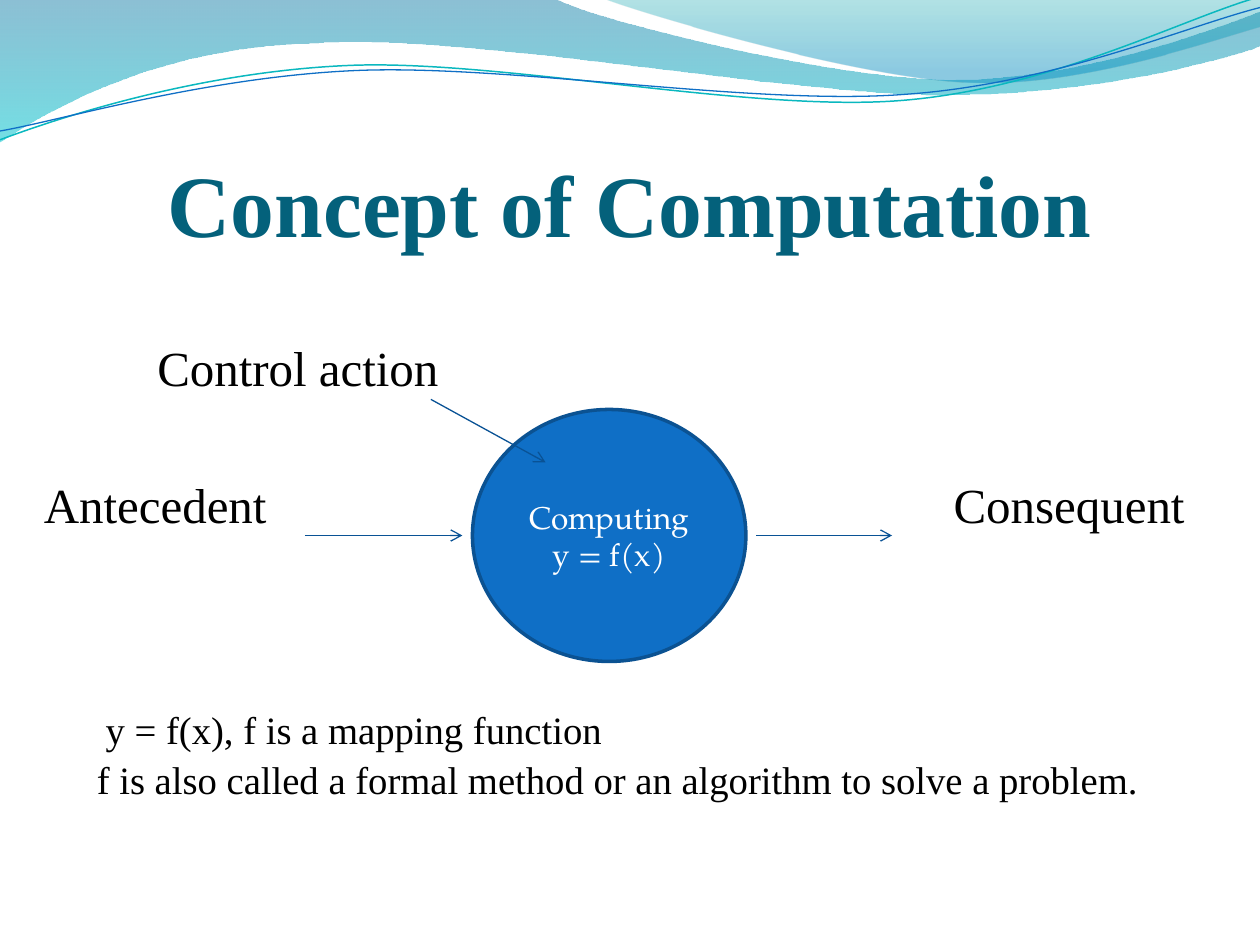
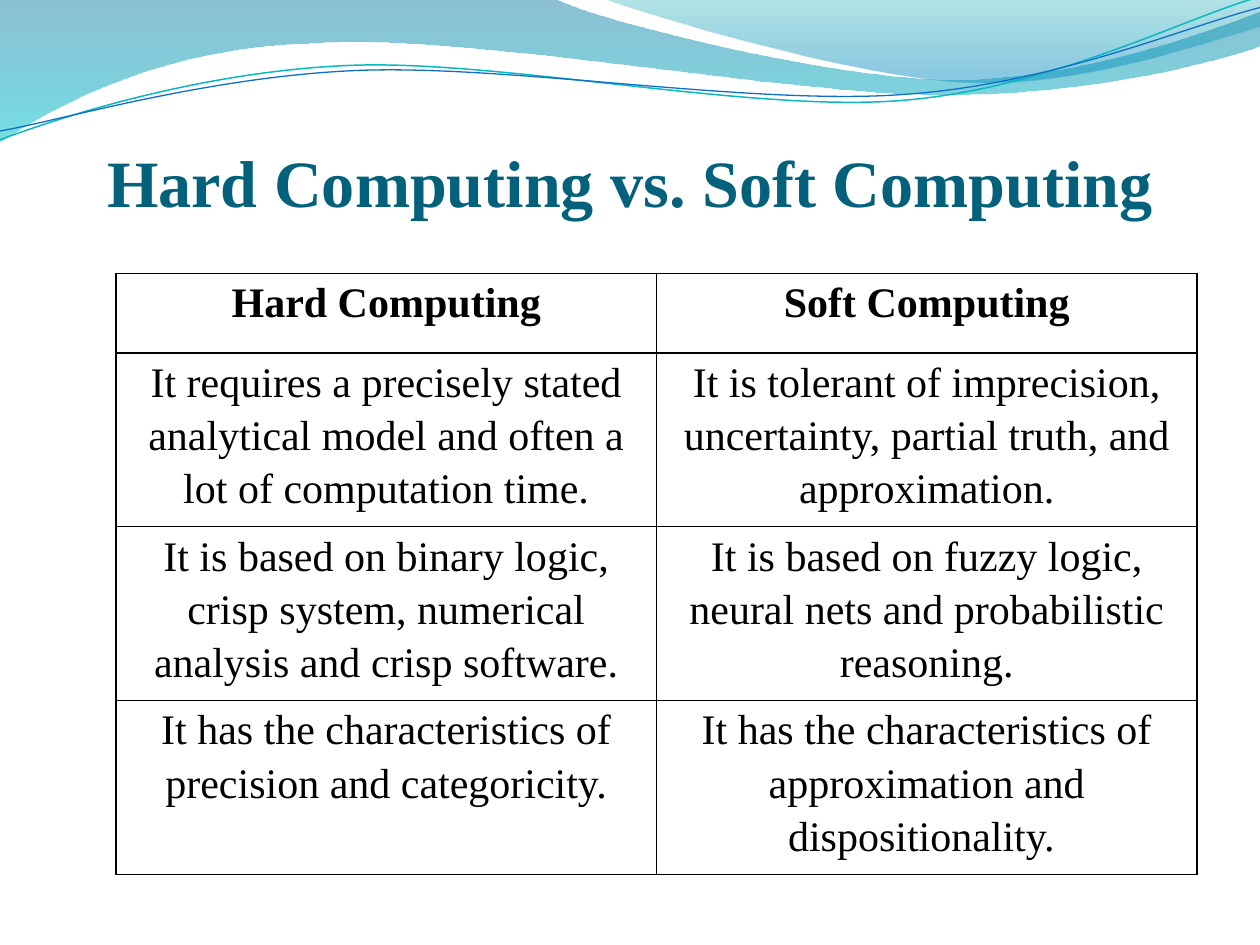
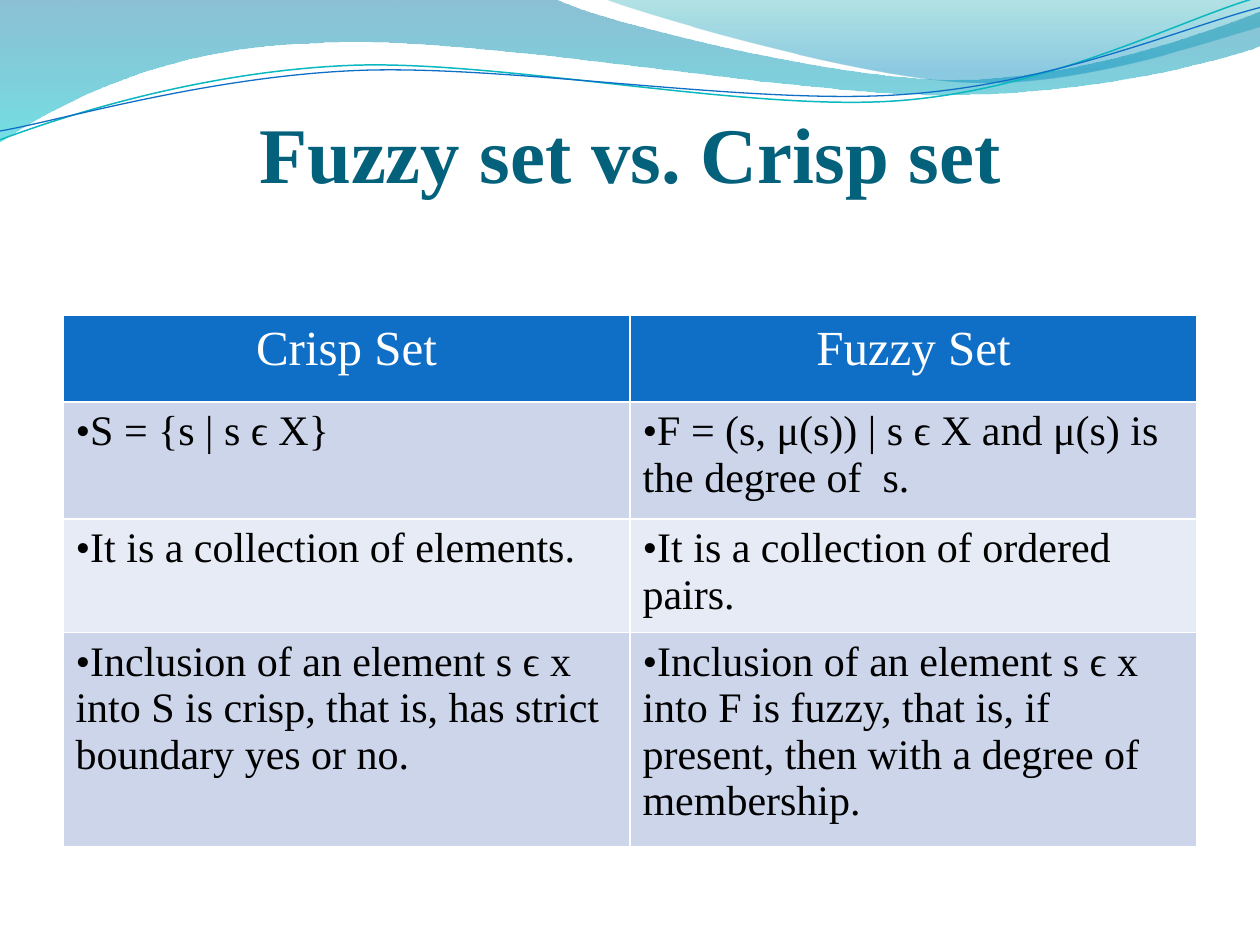
"""Build three slides on soft computing with a shared wave band and title style."""
from lxml import etree
from pptx import Presentation
from pptx import util as u
from pptx.dml.color import RGBColor
from pptx.enum import shapes, text
from pptx.oxml.ns import qn

INK = {"title": "04617B", "black": "000000", "white": "FFFFFF", "blue": "0F6FC6",
       "rim": "0B5292", "arrow": "095295", "teal": "0AB8BF",
       "odd": "CCD5EA", "even": "E7EBF5"}
INK = {name: RGBColor.from_string(code) for name, code in INK.items()}
SERIF, ROUND = "Times New Roman", "TeX Gyre Pagella"
MID, LEFT = text.PP_ALIGN.CENTER, text.PP_ALIGN.LEFT

WAVES = [
    {"start": (0, 0), "stops": [(0, "0074A1", 45), (1, "00C6CF", 55)],
     "steps": [[(4.4, -0.01)],
               [(4.76, 0.17), (6.64, 0.63), (7.58, 0.63)],
               [(8.53, 0.63), (9.58, 0.26), (10, 0.09)],
               [(10.01, 0.36)],
               [(9.83, 0.44), (8.7, 0.76), (7.46, 0.75)],
               [(6.22, 0.75), (3.82, 0.28), (2.57, 0.34)],
               [(1.29, 0.36), (0.46, 0.83), (-0.01, 1.13)]]},
    {"start": (4.79, -0.01), "stops": [(0, "00A1A9", 30), (0.8, "008BBF", 45)],
     "steps": [[(5.09, 0.11), (6.82, 0.62), (7.69, 0.65)],
               [(8.56, 0.69), (9.61, 0.32), (10, 0.21)],
               [(10, 0)]]},
    {"start": (0, 1.11), "line": ("teal", 0.85),
     "steps": [[(0.48, 0.93), (1.58, 0.57), (2.77, 0.52)],
               [(3.95, 0.47), (5.93, 0.89), (7.13, 0.8)],
               [(8.33, 0.71), (9.38, 0.15), (9.98, -0.02)]]},
    {"start": (0, 1.04), "line": ("blue", 0.75),
     "steps": [[(0.47, 0.96), (1.64, 0.61), (2.83, 0.56)],
               [(4.03, 0.51), (5.97, 0.84), (7.17, 0.75)],
               [(8.36, 0.67), (9.41, 0.21), (10, 0.06)]]},
]
TITLES = [("Concept of Computation", 1.25, 50),
          ("Hard Computing vs. Soft Computing", 0.98, 37.8),
          ("Fuzzy set vs. Crisp set", 0.81, 45)]


def put(par, words, size, ink="black", face=SERIF, bold=False, **form):
    """Write one run and set its paragraph's format."""
    run = par.add_run()
    run.text = words
    for key, val in {"size": u.Pt(size), "name": face, "bold": bold}.items():
        setattr(run.font, key, val)
    run.font.color.rgb = INK[ink]
    for key, val in form.items():
        setattr(par, key, val)


def box(slide, left, top, wide, high, **form):
    """Add a wrapping text box and return its frame."""
    area = [u.Inches(n) for n in (left, top, wide, high)]
    frame = slide.shapes.add_textbox(*area).text_frame
    frame.word_wrap = True
    for key, val in form.items():
        setattr(frame, key, val)
    return frame


deck = Presentation()
deck.slide_width, deck.slide_height = u.Inches(10), u.Inches(7.5)
pages = []
for words, high, size in TITLES:
    page = deck.slides.add_slide(deck.slide_layouts[6])
    pages.append(page)
    for wave in WAVES:
        dots = [(u.Inches(x), u.Inches(y))
                for step in [[wave["start"]], *wave["steps"]] for x, y in step]
        pen = page.shapes.build_freeform(*dots[0])
        pen.add_line_segments(dots[1:], close="stops" in wave)
        form = pen.convert_to_shape()
        form.shadow.inherit = False
        knots = iter(list(form._element.iter(qn("a:lnTo"))))
        for step in wave["steps"]:
            group = [next(knots) for _ in step]
            if len(group) == 3:
                curve = etree.Element(qn("a:cubicBezTo"))
                group[0].addprevious(curve)
                for knot in group:
                    curve.append(knot[0])
                    knot.getparent().remove(knot)
        if "line" in wave:
            ink, width = wave["line"]
            form.fill.background()
            form.line.color.rgb, form.line.width = INK[ink], u.Pt(width)
            continue
        form.line.fill.background()
        form.fill.gradient()
        form.fill.gradient_angle = 270
        for stop, (place, code, _) in zip(form.fill.gradient_stops, wave["stops"]):
            stop.position, stop.color.rgb = place, RGBColor.from_string(code)
        for node, (_, _, alpha) in zip(form._element.iter(qn("a:srgbClr")), wave["stops"]):
            etree.SubElement(node, qn("a:alpha")).set("val", str(alpha * 1000))
    head = box(page, 0.5, 0.77, 9, high, margin_left=0, margin_right=0, margin_bottom=0,
               vertical_anchor=text.MSO_ANCHOR.BOTTOM)
    put(head.paragraphs[0], words, size, "title", bold=True, alignment=MID)

flow, hard, fuzzy = pages

body = box(flow, 0.25, 2.12, 9.5, 2.88, margin_top=u.Inches(0.56))
cause = body.paragraphs[0]
put(cause, "Control action", 28)
cause._p.get_or_add_pPr().set("marL", str(u.Inches(0.9)))
ends = body.add_paragraph()
put(ends, "Antecedent\tConsequent", 28, space_before=u.Pt(44.8))
tabs = etree.SubElement(ends._p.get_or_add_pPr(), qn("a:tabLst"))
tab = etree.SubElement(tabs, qn("a:tab"))
tab.set("pos", str(u.Inches(7.22)))
tab.set("algn", "l")

disc = flow.shapes.add_shape(shapes.MSO_SHAPE.OVAL, u.Inches(3.75), u.Inches(3.25),
                             u.Inches(2.17), u.Inches(2))
disc.shadow.inherit = False
disc.fill.solid()
disc.fill.fore_color.rgb = INK["blue"]
disc.line.color.rgb, disc.line.width = INK["rim"], u.Pt(2)
frame = disc.text_frame
frame.vertical_anchor = text.MSO_ANCHOR.MIDDLE
put(frame.paragraphs[0], "Computing", 18, "white", ROUND, alignment=MID)
put(frame.add_paragraph(), "y = f(x)", 18, "white", ROUND, alignment=MID)

for ends in [(2.42, 4.25, 3.67, 4.25), (6, 4.25, 7.08, 4.25), (3.42, 3.17, 4.33, 3.67)]:
    link = flow.shapes.add_connector(shapes.MSO_CONNECTOR.STRAIGHT,
                                     *[u.Inches(n) for n in ends])
    link.line.color.rgb, link.line.width = INK["arrow"], u.Pt(0.75)
    props = link._element.spPr
    etree.SubElement(props.find(qn("a:ln")), qn("a:tailEnd")).set("type", "arrow")
    etree.SubElement(props, qn("a:effectLst"))

note = box(flow, 0.67, 5.17, 9, 1.33, margin_top=u.Inches(0.47))
first = note.paragraphs[0]
put(first, "y = f(x), f is a mapping function", 22.1, line_spacing=0.9, space_after=u.Pt(5))
first._p.get_or_add_pPr().set("marL", str(u.Inches(0.07)))
put(note.add_paragraph(), "f is also called a formal method or an algorithm to solve a problem.",
    22.1, line_spacing=0.9)

GRIDS = [
    {"page": hard, "at": (0.92, 2.17, 8.58, 4.47), "rows": (0.63, 1.28, 1.28, 1.28),
     "edge": "black", "fills": [None] * 4, "head": (24, "black", True),
     "pad": {"margin_left": 0.07, "margin_right": 0.07, "margin_top": 0, "margin_bottom": 0},
     "align": MID, "gap": 1.15, "dot": False,
     "cells": [("Hard Computing", "Soft Computing"),
               ("It requires a precisely stated analytical model and often a lot of "
                "computation time.",
                "It is tolerant of imprecision, uncertainty, partial truth, and approximation."),
               ("It is based on binary logic, crisp system, numerical analysis and crisp "
                "software.",
                "It is based on fuzzy logic, neural nets and probabilistic reasoning."),
               ("It has the characteristics of precision and categoricity.",
                "It has the characteristics of approximation and dispositionality. ")]},
    {"page": fuzzy, "at": (0.5, 2.5, 9, 4.05), "rows": (0.69, 0.93, 0.85, 1.58),
     "edge": "white", "fills": ["blue", "odd", "even", "odd"], "head": (28, "white", False),
     "pad": {}, "align": LEFT, "gap": 1.0, "dot": True,
     "cells": [("Crisp Set", "Fuzzy Set"),
               ("S = {s | s ϵ X}", "F = (s, μ(s)) | s ϵ X and μ(s) is the degree of  s."),
               ("It is a collection of elements.", "It is a collection of ordered pairs."),
               ("Inclusion of an element s ϵ x into S is crisp, that is, has strict boundary "
                "yes or no.",
                "Inclusion of an element s ϵ x into F is fuzzy, that is, if present, then with "
                "a degree of membership.")]},
]
for grid in GRIDS:
    area = [u.Inches(n) for n in grid["at"]]
    table = grid["page"].shapes.add_table(4, 2, *area).table
    table.first_row = table.horz_banding = False
    for r, (row, high) in enumerate(zip(table.rows, grid["rows"])):
        row.height = u.Inches(high)
        for cell, words in zip(row.cells, grid["cells"][r]):
            for key, val in grid["pad"].items():
                setattr(cell, key, u.Inches(val))
            props = cell._tc.get_or_add_tcPr()
            for side in "LRTB":
                edge = etree.SubElement(props, qn(f"a:ln{side}"))
                edge.set("w", str(u.Pt(1)))
                fill = etree.SubElement(edge, qn("a:solidFill"))
                etree.SubElement(fill, qn("a:srgbClr")).set("val", str(INK[grid["edge"]]))
            if grid["fills"][r]:
                cell.fill.solid()
                cell.fill.fore_color.rgb = INK[grid["fills"][r]]
            else:
                cell.fill.background()
            size, ink, bold = (24, "black", False) if r else grid["head"]
            par = cell.text_frame.paragraphs[0]
            put(par, words, size, ink, bold=bold, line_spacing=grid["gap"],
                alignment=grid["align"] if r else MID)
            if r and grid["dot"]:
                props = par._p.get_or_add_pPr()
                etree.SubElement(props, qn("a:buFont")).set("typeface", SERIF)
                etree.SubElement(props, qn("a:buChar")).set("char", "•")

deck.save("out.pptx")
